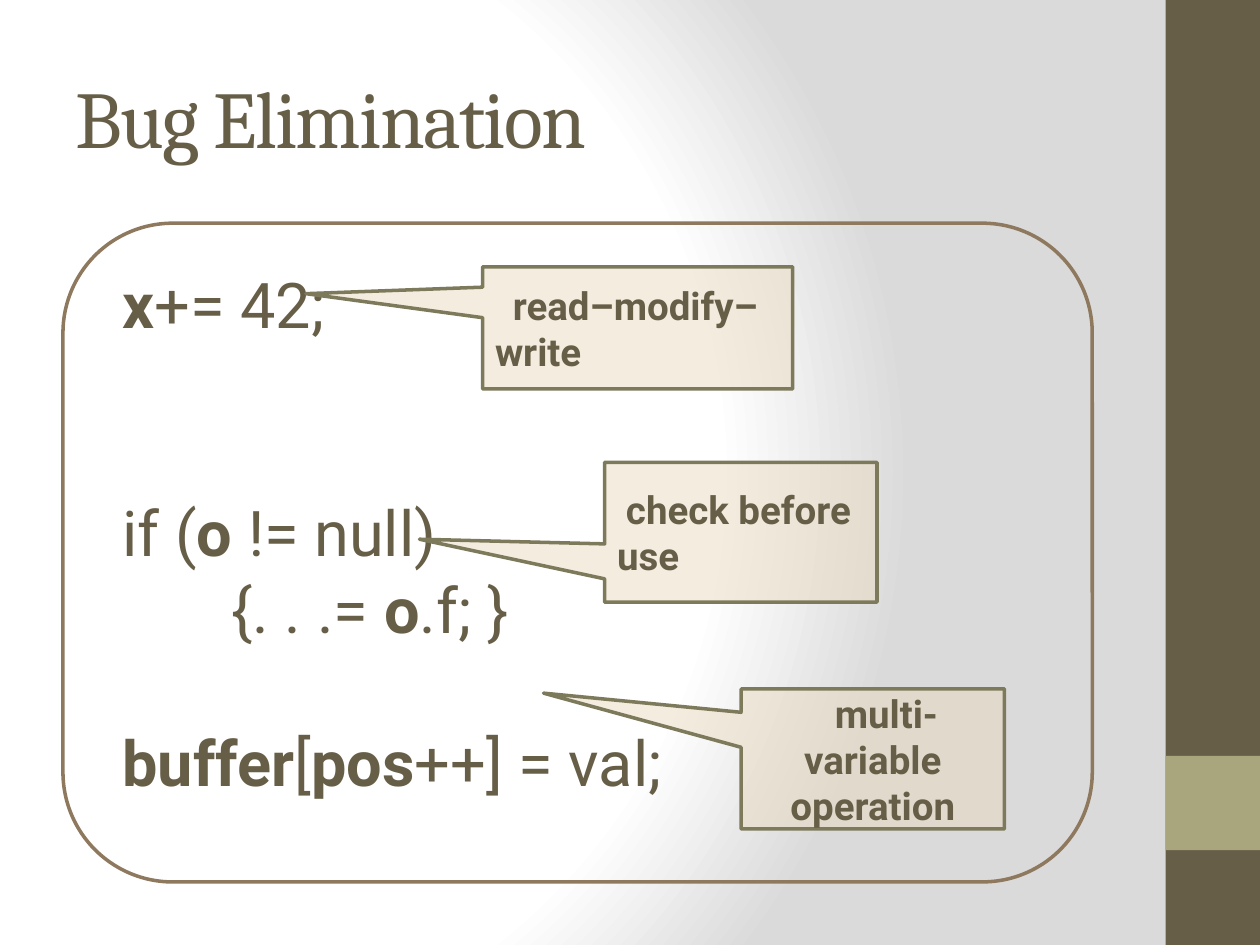
import pptx
import pptx.util
import pptx.dml.color
import pptx.enum.shapes
import pptx.enum.text
import pptx.oxml
from pptx.util import Cm, Pt

BROWN = "675E47"
SHAPES = pptx.enum.shapes.MSO_SHAPE
ANCHOR = pptx.enum.text.MSO_ANCHOR
ALIGN = pptx.enum.text.PP_ALIGN
NS = 'xmlns:a="http://schemas.openxmlformats.org/drawingml/2006/main"'


def paint(color_format, hex_color):
    color_format.rgb = pptx.dml.color.RGBColor.from_string(hex_color)


def add_run(paragraph, text, size, font, bold=False):
    run = paragraph.add_run()
    run.text = text
    run.font.size = Pt(size)
    run.font.name = font
    run.font.bold = bold
    paint(run.font.color, BROWN)
    return run


deck = pptx.Presentation()
deck.slide_width, deck.slide_height = Cm(25.4), Cm(19.05)
slide = deck.slides.add_slide(deck.slide_layouts[5])

# Background: white glow from the left, fading to grey
slide.background.fill.gradient()
gradient = slide.background.fill._fill._gradFill
for child in list(gradient):
    gradient.remove(child)
stops = "".join(
    f'<a:gs pos="{position * 1000}"><a:srgbClr val="{color}"/></a:gs>'
    for position, color in [(0, "FFFFFF"), (75, "FFFFFF"), (100, "DADADA")])
for xml in (
        f"<a:gsLst {NS}>{stops}</a:gsLst>",
        f'<a:path {NS} path="circle">'
        '<a:fillToRect l="20000" t="50000" r="100000" b="50000"/></a:path>'):
    gradient.append(pptx.oxml.parse_xml(xml))

# Side band with its accent block
for top, height, color in [(0, 19.05, BROWN), (15.24, 1.9, "A9A57C")]:
    band = slide.shapes.add_shape(
        SHAPES.RECTANGLE, Cm(23.5), Cm(top), Cm(1.9), Cm(height))
    band.shadow.inherit = False
    band.fill.solid()
    paint(band.fill.fore_color, color)
    band.line.fill.background()

# Title
title = slide.shapes.title
title.left, title.top, title.width, title.height = Cm(1.27), Cm(0.76), Cm(21.16), Cm(3.18)
title.text_frame.auto_size = pptx.enum.text.MSO_AUTO_SIZE.NONE
title.text_frame.vertical_anchor = ANCHOR.MIDDLE
heading = title.text_frame.paragraphs[0]
heading.alignment = ALIGN.LEFT
heading_run = add_run(heading, "Bug Elimination", 46, "Cambria")
heading_run.font._element.set("spc", "-100")

# Code panel: (indent cm, space before pt, [(text, bold), ...])
code_lines = [
    (0.3, 0, [("x", True), ("+= 42;", False)]),
    (0.3, 87, [("if (", False), ("o", True), (" != null)", False)]),
    (2.5, 1, [("{. . .= ", False), ("o", True), (".f; }", False)]),
    (0.3, 44, [("buffer", True), ("[", False), ("pos", True), ("++] = val;", False)]),
]
code_panel = slide.shapes.add_shape(
    SHAPES.ROUNDED_RECTANGLE, Cm(1.27), Cm(4.5), Cm(20.75), Cm(13.28))
code_panel.shadow.inherit = False
code_panel.fill.background()
paint(code_panel.line.color, "8E795E")
code_panel.line.width = Pt(2)
code = code_panel.text_frame
code.word_wrap = True
code.vertical_anchor = ANCHOR.TOP
code.margin_top = Cm(0.2)
for index, (indent, space_before, pieces) in enumerate(code_lines):
    statement = code.add_paragraph() if index else code.paragraphs[0]
    statement.alignment = ALIGN.LEFT
    statement.space_before = Pt(space_before)
    statement._p.get_or_add_pPr().set("marL", str(Cm(indent)))
    for text, bold in pieces:
        add_run(statement, text, 36, "Roboto", bold)

# Callouts: text, box in cm, pointer tip, first-line indent cm, alignment
callouts = [
    ("read–modify–write", (9.73, 5.38, 6.25, 2.46), (-1.07, -0.28), 0.36, ALIGN.LEFT),
    ("check before use", (12.19, 9.32, 5.49, 2.82), (-1.18, 0.05), 0.18, ALIGN.LEFT),
    ("multi-variable operation", (14.94, 13.89, 5.31, 2.82), (-1.25, -0.47), 0.55, ALIGN.CENTER),
]
for text, box, tip, indent, alignment in callouts:
    callout = slide.shapes.add_shape(
        SHAPES.RECTANGULAR_CALLOUT, *[Cm(length) for length in box])
    callout.shadow.inherit = False
    callout.adjustments[0], callout.adjustments[1] = tip
    callout.fill.solid()
    paint(callout.fill.fore_color, "E9D9BE")
    tint = callout.fill._fill._solidFill[0]
    tint.append(pptx.oxml.parse_xml(f'<a:alpha {NS} val="48000"/>'))
    paint(callout.line.color, "7D7A5C")
    callout.line.width = Pt(2)
    callout.text_frame.word_wrap = True
    callout.text_frame.vertical_anchor = ANCHOR.MIDDLE
    remark = callout.text_frame.paragraphs[0]
    remark.alignment = alignment
    remark._p.get_or_add_pPr().set("indent", str(Cm(indent)))
    add_run(remark, text, 22, "Roboto", True)

deck.save("out.pptx")
